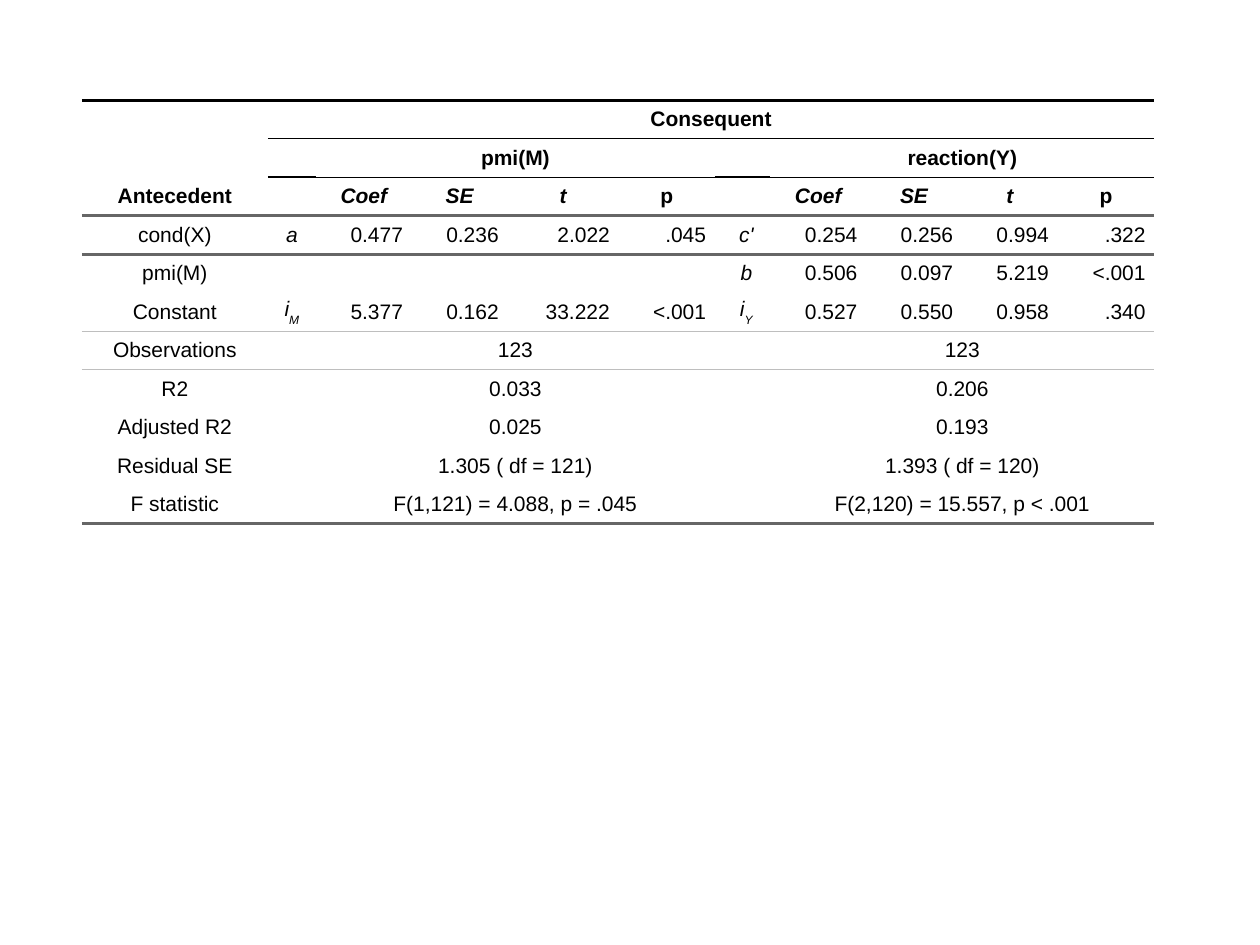
from lxml import etree
from pptx import Presentation
from pptx.dml.color import RGBColor
from pptx.enum import text
from pptx.oxml import ns
from pptx.util import Cm, Pt

SLIDE = (25.4, 19.05)
ORIGIN = (1.65, 2.02)
TABLE_HEIGHT = 8.54
COLUMNS = [3.75, 0.97, 1.93, 1.93, 2.24, 1.94, 0.15, 0.97, 1.93, 1.93, 1.93, 1.95]
NO_STYLE = "{2D5ABB26-0587-4C30-8999-92F81FD0307C}"
PADDING = Pt(5)
INK = "000000"

MODELS = {"pmi(M)": 2, "reaction(Y)": 8}
MODEL_WIDTH = 4
STATISTICS = ["Coef", "SE", "t", "p"]
COEFFICIENTS = [
    ("cond(X)", ("a",), ["0.477", "0.236", "2.022", ".045"],
     ("c'",), ["0.254", "0.256", "0.994", ".322"]),
    ("pmi(M)", (), [], ("b",), ["0.506", "0.097", "5.219", "<.001"]),
    ("Constant", ("i", "M"), ["5.377", "0.162", "33.222", "<.001"],
     ("i", "Y"), ["0.527", "0.550", "0.958", ".340"]),
]
FIT = [
    ("Observations", "123", "123"),
    ("R2", "0.033", "0.206"),
    ("Adjusted R2", "0.025", "0.193"),
    ("Residual SE", "1.305 ( df = 121)", "1.393 ( df = 120)"),
    ("F statistic", "F(1,121) = 4.088, p = .045", "F(2,120) = 15.557, p < .001"),
]
FIRST_COEFFICIENT = 3
FIRST_FIT = FIRST_COEFFICIENT + len(COEFFICIENTS)
ROW_COUNT = FIRST_FIT + len(FIT)
ALL = range(len(COLUMNS))
MODEL_COLUMNS = [c for start in MODELS.values() for c in range(start, start + MODEL_WIDTH)]
RULES = [
    (0, ALL, INK, 2),
    (1, ALL[1:], INK, 1),
    (2, MODEL_COLUMNS, INK, 0.5),
    (FIRST_COEFFICIENT, ALL, "666666", 2),
    (FIRST_FIT, ALL, "BEBEBE", 0.5),
    (ROW_COUNT, ALL, "666666", 2),
]


def color(value):
    return RGBColor.from_string(value)


def write(cell, words, align=text.PP_ALIGN.CENTER, **style):
    paragraph = cell.text_frame.paragraphs[0]
    paragraph.alignment = align
    paragraph.space_before = paragraph.space_after = PADDING
    for side in ("marL", "marR"):
        paragraph._p.get_or_add_pPr().set(side, str(PADDING))
    paragraph._p.get_or_add_pPr().set("indent", "0")
    for position, word in enumerate(words):
        run = paragraph.add_run()
        run.text = word
        font = {"name": "Arial", "size": Pt(12), "bold": False, "italic": False, **style}
        for key, value in font.items():
            setattr(run.font, key, value)
        run.font.color.rgb = color(INK)
        if position:
            run._r.get_or_add_rPr().set("baseline", "-40000")


def draw_border(cell, side, ink, width):
    line = etree.Element(ns.qn(f"a:{side}"), w=str(Pt(width)))
    fill = etree.SubElement(line, ns.qn("a:solidFill"))
    etree.SubElement(fill, ns.qn("a:srgbClr"), val=ink)
    properties = cell._tc.get_or_add_tcPr()
    properties.insert(len(properties.findall(ns.qn("a:lnT"))), line)


def add_grid(slide):
    left, top = ORIGIN
    frame = slide.shapes.add_table(ROW_COUNT, len(COLUMNS), Cm(left), Cm(top),
                                   Cm(sum(COLUMNS)), Cm(TABLE_HEIGHT))
    table = frame.table
    table.first_row = table.horz_banding = False
    table._tbl.tblPr.find(ns.qn("a:tableStyleId")).text = NO_STYLE
    for column, width in zip(table.columns, COLUMNS):
        column.width = Cm(width)
    for row in table.rows:
        row.height = Cm(TABLE_HEIGHT / ROW_COUNT)
    for cell in table.iter_cells():
        cell.margin_left = cell.margin_right = cell.margin_top = cell.margin_bottom = 0
        cell.vertical_anchor = text.MSO_ANCHOR.MIDDLE
        cell.fill.background()
    return table


def write_spanning(table, row, start, width, words, **style):
    cell = table.cell(row, start)
    cell.merge(table.cell(row, start + width - 1))
    write(cell, [words], **style)


def fill_header(table):
    write_spanning(table, 0, 1, len(COLUMNS) - 1, "Consequent", bold=True)
    write(table.cell(2, 0), ["Antecedent"], bold=True)
    for model, start in MODELS.items():
        write_spanning(table, 1, start, MODEL_WIDTH, model, bold=True)
        for offset, statistic in enumerate(STATISTICS):
            write(table.cell(2, start + offset), [statistic], bold=True, italic=statistic != "p")


def fill_body(table):
    for row, (antecedent, *parts) in enumerate(COEFFICIENTS, FIRST_COEFFICIENT):
        write(table.cell(row, 0), [antecedent])
        for start, path_label, values in zip(MODELS.values(), parts[::2], parts[1::2]):
            write(table.cell(row, start - 1), path_label, italic=True)
            for offset, value in enumerate(values):
                write(table.cell(row, start + offset), [value], text.PP_ALIGN.RIGHT)
    for row, (measure, *values) in enumerate(FIT, FIRST_FIT):
        write(table.cell(row, 0), [measure])
        for start, value in zip(MODELS.values(), values):
            write_spanning(table, row, start, MODEL_WIDTH, value)


def finish(table):
    for row, columns, ink, width in RULES:
        for column in columns:
            if row < ROW_COUNT:
                draw_border(table.cell(row, column), "lnT", ink, width)
            if row:
                draw_border(table.cell(row - 1, column), "lnB", ink, width)
    for cell in table.iter_cells():
        paragraph = cell.text_frame.paragraphs[0]
        if not paragraph.runs:
            etree.SubElement(paragraph._p, ns.qn("a:endParaRPr"), sz="1200")


def main():
    deck = Presentation()
    deck.slide_width, deck.slide_height = map(Cm, SLIDE)
    table = add_grid(deck.slides.add_slide(deck.slide_layouts[6]))
    fill_header(table)
    fill_body(table)
    finish(table)
    deck.save("out.pptx")


if __name__ == "__main__":
    main()
